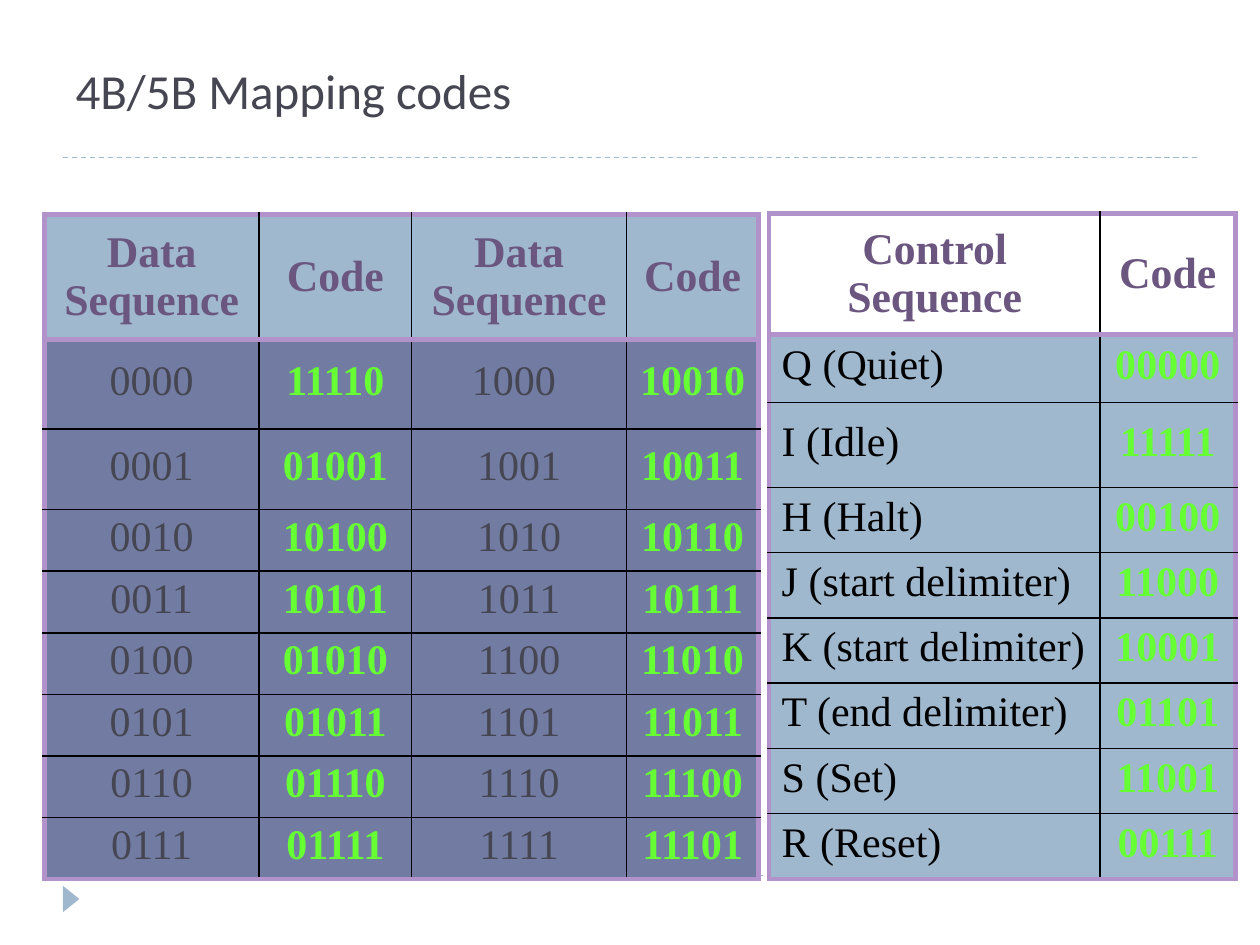
from dataclasses import dataclass

from lxml.etree import SubElement
from pptx import Presentation
from pptx.dml.color import RGBColor
from pptx.enum.dml import MSO_LINE
from pptx.enum.shapes import MSO_CONNECTOR, MSO_SHAPE
from pptx.enum.text import MSO_ANCHOR, MSO_AUTO_SIZE, PP_ALIGN
from pptx.oxml.ns import qn
from pptx.util import Pt

SERIF = "Times New Roman"
INK, BLACK, WHITE = "464653", "000000", "FFFFFF"
PALE_BLUE, SLATE, GREEN = "9FB8CD", "727CA3", "66FF33"
PURPLE, LILAC = "6B5680", "B292CA"

DATA_CODES = [
    "11110", "01001", "10100", "10101", "01010", "01011", "01110", "01111",
    "10010", "10011", "10110", "10111", "11010", "11011", "11100", "11101",
]
CONTROL_CODES = [
    ("Q (Quiet)", "00000"),
    ("I (Idle)", "11111"),
    ("H (Halt)", "00100"),
    ("J (start delimiter)", "11000"),
    ("K (start delimiter)", "10001"),
    ("T (end delimiter)", "01101"),
    ("S (Set)", "11001"),
    ("R (Reset)", "00111"),
]


@dataclass
class CodeTable:
    """Columns alternate between sequences and their codes."""
    left: float
    top: float
    widths: list[float]
    heights: list[float]
    rows: list[tuple[str, ...]]
    header_fill: str
    body_fill: str
    sequence_color: str
    sequence_align: PP_ALIGN


def color(value: str) -> RGBColor:
    return RGBColor.from_string(value)


def write(frame, text: str, *, font: str, size: float, fill: str, bold: bool = False,
          align: PP_ALIGN = PP_ALIGN.LEFT, spacing: float = 1.0) -> None:
    para = frame.paragraphs[0]
    para.alignment = align
    para.line_spacing = spacing
    span = para.add_run()
    span.text = text
    span.font.name = font
    span.font.size = Pt(size)
    span.font.bold = bold
    span.font.color.rgb = color(fill)


def add_border(cell, side: str, outer: bool) -> None:
    width, ink = (3, LILAC) if outer else (1, BLACK)
    line = SubElement(cell._tc.get_or_add_tcPr(), qn(f"a:ln{side}"), w=str(Pt(width)))
    SubElement(SubElement(line, qn("a:solidFill")), qn("a:srgbClr"), val=ink)


def add_code_table(page, spec: CodeTable) -> None:
    row_count, column_count = len(spec.heights), len(spec.widths)
    table = page.shapes.add_table(
        row_count, column_count, Pt(spec.left), Pt(spec.top),
        Pt(sum(spec.widths)), Pt(sum(spec.heights))).table
    table.horz_banding = False
    for column, width in zip(table.columns, spec.widths):
        column.width = Pt(width)
    for row, height in zip(table.rows, spec.heights):
        row.height = Pt(height)

    for r, texts in enumerate(spec.rows):
        for c, text in enumerate(texts):
            cell = table.cell(r, c)
            cell.vertical_anchor = MSO_ANCHOR.MIDDLE
            add_border(cell, "L", c == 0)
            add_border(cell, "R", c == column_count - 1)
            add_border(cell, "T", r <= 1)
            add_border(cell, "B", r in (0, row_count - 1))
            cell.fill.solid()
            cell.fill.fore_color.rgb = color(spec.body_fill if r else spec.header_fill)
            if r == 0:
                write(cell.text_frame, text, font=SERIF, size=25, fill=PURPLE,
                      bold=True, align=PP_ALIGN.CENTER)
            elif c % 2:
                write(cell.text_frame, text, font=SERIF, size=24, fill=GREEN,
                      bold=True, align=PP_ALIGN.CENTER, spacing=0.8)
            else:
                write(cell.text_frame, text, font=SERIF, size=24, fill=spec.sequence_color,
                      align=spec.sequence_align, spacing=0.8)


def add_rule(page, y: float) -> None:
    rule = page.shapes.add_connector(MSO_CONNECTOR.STRAIGHT, Pt(36), Pt(y), Pt(684), Pt(y))
    rule.line.color.rgb = color(PALE_BLUE)
    rule.line.width = Pt(0.75)
    rule.line.dash_style = MSO_LINE.DASH
    SubElement(rule._element.spPr, qn("a:effectLst"))


def add_corner_marker(page) -> None:
    marker = page.shapes.add_shape(
        MSO_SHAPE.ISOSCELES_TRIANGLE, Pt(33.1), Pt(509), Pt(15.1), Pt(9.4))
    marker.rotation = 90
    marker.shadow.inherit = False
    marker.fill.solid()
    marker.fill.fore_color.rgb = color(PALE_BLUE)
    marker.line.fill.background()


def add_title(page, text: str) -> None:
    title = page.shapes.title
    title.left, title.top, title.width, title.height = Pt(36), Pt(-36), Pt(648), Pt(108)
    frame = title.text_frame
    frame.vertical_anchor = MSO_ANCHOR.BOTTOM
    frame.auto_size = MSO_AUTO_SIZE.NONE
    frame.word_wrap = True
    write(frame, text, font="Calibri", size=28, fill=INK)


def data_rows() -> list[tuple[str, ...]]:
    half = len(DATA_CODES) // 2
    rows = [("Data Sequence", "Code") * 2]
    for low in range(half):
        high = low + half
        gap = " " if low == 0 else ""
        rows.append((f"{low:04b}", DATA_CODES[low], f"{high:04b}{gap}", DATA_CODES[high]))
    return rows


def main() -> None:
    deck = Presentation()
    deck.slide_width, deck.slide_height = Pt(720), Pt(540)
    page = deck.slides.add_slide(deck.slide_layouts[5])

    for y in (500.4, 90):
        add_rule(page, y)
    add_corner_marker(page)
    add_title(page, "4B/5B Mapping codes")

    add_code_table(page, CodeTable(
        left=25.3, top=122.6,
        widths=[122.7, 87.3, 122.7, 75.6],
        heights=[71.4, 51.3, 46] + [35.2] * 6,
        rows=data_rows(),
        header_fill=PALE_BLUE, body_fill=SLATE,
        sequence_color=INK, sequence_align=PP_ALIGN.CENTER))
    add_code_table(page, CodeTable(
        left=439.5, top=121.9,
        widths=[189.2, 77.2],
        heights=[69.2, 38.8, 48.7] + [37.3] * 6,
        rows=[("Control Sequence", "Code"), *CONTROL_CODES],
        header_fill=WHITE, body_fill=PALE_BLUE,
        sequence_color=BLACK, sequence_align=PP_ALIGN.LEFT))

    deck.save("out.pptx")


if __name__ == "__main__":
    main()
